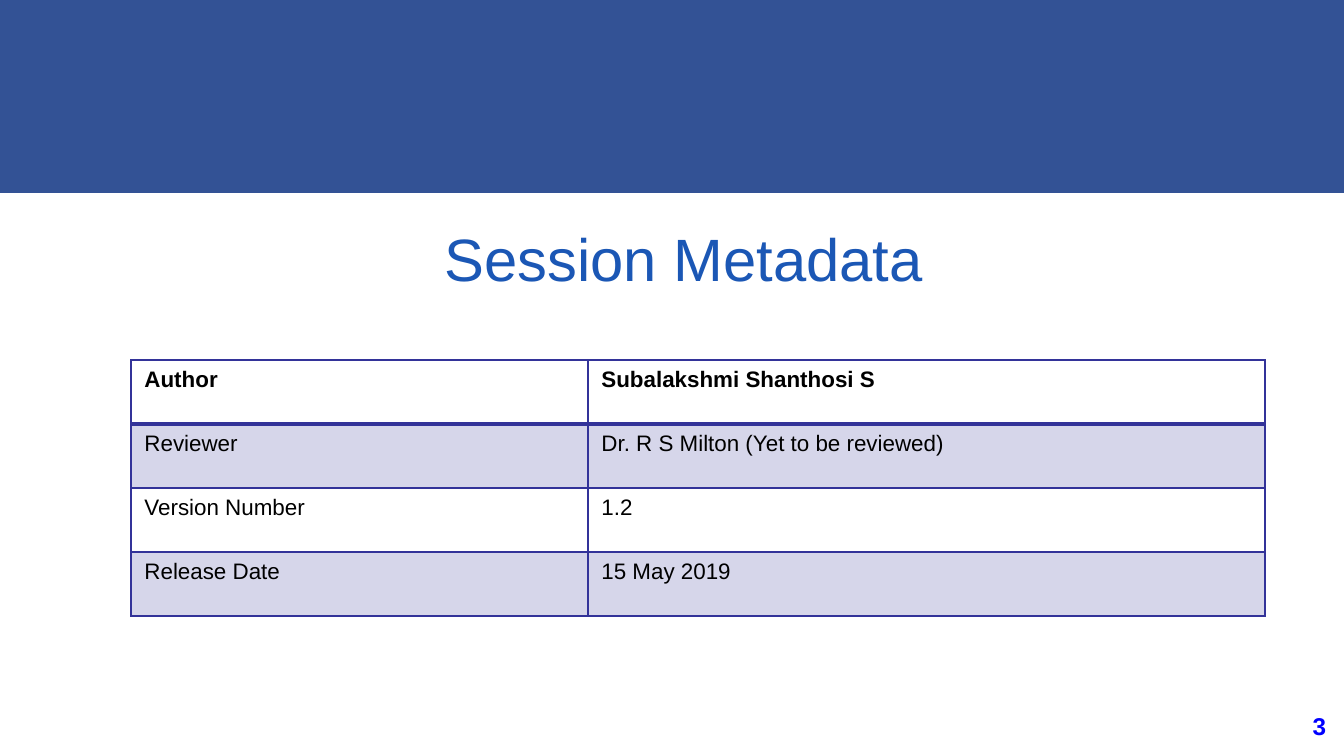
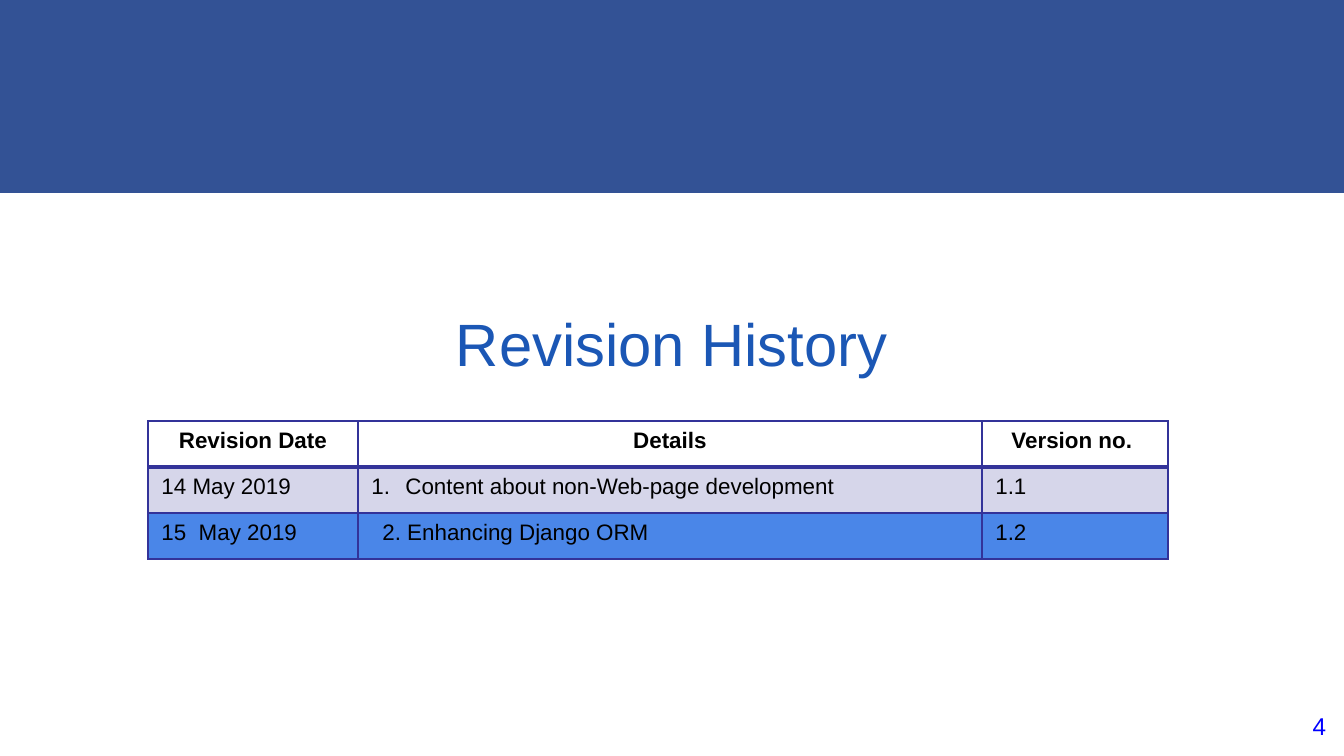
"""Build the session metadata and revision history slides."""
from dataclasses import dataclass

from lxml.etree import SubElement
from pptx import Presentation
from pptx.dml.color import RGBColor
from pptx.enum.shapes import MSO_SHAPE
from pptx.enum.text import MSO_ANCHOR, MSO_AUTO_SIZE, PP_ALIGN
from pptx.oxml.ns import qn
from pptx.util import Pt


@dataclass(frozen=True)
class Theme:
    font: str = "Arial"
    band: str = "335295"
    title: str = "1B57B5"
    number: str = "0000FF"
    text: str = "000000"
    grid: str = "333399"
    latest: str = "4A86E8"
    title_size: int = 32
    number_size: int = 13
    table_size: int = 12


T = Theme()
EMU_PER_PX = 914400 / 134.4
WIDTH, HEIGHT, BAND_HEIGHT = 1344, 756, 193


def px(*lengths):
    return [round(n * EMU_PER_PX) for n in lengths]


def write(p, text, size, color, bold=False, align=None):
    p.alignment = align
    r = p.add_run()
    r.text = text
    for name, value in {"name": T.font, "size": Pt(size), "bold": bold}.items():
        setattr(r.font, name, value)
    r.font.color.rgb = RGBColor.from_string(color)


pages = [
    {
        "number": "3", "number_bold": True,
        "title": "Session Metadata", "title_at": (79, 199),
        "table_at": (131, 360), "cols": (457, 677), "row_height": 64,
        "header_align": None,
        "rows": [
            ("Author", "Subalakshmi Shanthosi S"),
            ("Reviewer", "Dr. R S Milton (Yet to be reviewed)"),
            ("Version Number", "1.2"),
            ("Release Date", "15 May 2019"),
        ],
        "fills": [None, T.grid, None, T.grid],
        "indents": {},
    },
    {
        "number": "4", "number_bold": False,
        "title": "Revision History", "title_at": (67, 284),
        "table_at": (148, 421), "cols": (210, 624, 186), "row_height": 46,
        "header_align": PP_ALIGN.CENTER,
        "rows": [
            ("Revision Date", "Details", "Version no. "),
            ("14 May 2019", "Content about non-Web-page development", "1.1"),
            ("15  May 2019", "2. Enhancing Django ORM", "1.2"),
        ],
        "fills": [None, T.grid, T.latest],
        "indents": {(1, 1): (34, -34), (2, 1): (11, 0)},
    },
]

prs = Presentation()
prs.slide_width, prs.slide_height = px(WIDTH, HEIGHT)
layout = prs.slide_layouts.get_by_name("Title Only")
slides = [prs.slides.add_slide(layout) for page in pages]

sp = slides[0].shapes.add_shape(MSO_SHAPE.RECTANGLE, *px(0, 0, WIDTH, BAND_HEIGHT))
sp.shadow.inherit = False
sp.fill.solid()
sp.fill.fore_color.rgb = RGBColor.from_string(T.band)
sp.line.fill.background()
layout.shapes._spTree.insert(2, sp._element)

for slide, page in zip(slides, pages):
    title = slide.shapes.title
    title.left, title.top, title.width, title.height = px(*page["title_at"], 1210, 117)
    tf = title.text_frame
    title_format = {
        "word_wrap": True,
        "auto_size": MSO_AUTO_SIZE.NONE,
        "vertical_anchor": MSO_ANCHOR.MIDDLE,
    }
    for name, value in title_format.items():
        setattr(tf, name, value)
    write(tf.paragraphs[0], page["title"], T.title_size, T.title, align=PP_ALIGN.CENTER)

    tf = slide.shapes.add_textbox(*px(1258, 698, 81, 58)).text_frame
    tf.word_wrap = True
    for side in ("left", "top", "right", "bottom"):
        setattr(tf, f"margin_{side}", px(13)[0])
    write(tf.paragraphs[0], page["number"], T.number_size, T.number,
          page["number_bold"], PP_ALIGN.RIGHT)

    rows, cols = page["rows"], page["cols"]
    size = px(sum(cols), page["row_height"] * len(rows))
    table = slide.shapes.add_table(len(rows), len(cols), *px(*page["table_at"]), *size).table
    table.first_row = table.horz_banding = False
    for column, width in zip(table.columns, px(*cols)):
        column.width = width

    for i, (row, fill) in enumerate(zip(rows, page["fills"])):
        table.rows[i].height = px(page["row_height"])[0]
        for j, text in enumerate(row):
            cell = table.cell(i, j)
            p = cell.text_frame.paragraphs[0]
            write(p, text, T.table_size, T.text, i == 0,
                  page["header_align"] if i == 0 else None)

            tcPr = cell._tc.get_or_add_tcPr()
            for side in "LRTB":
                heavy = (i, side) in ((0, "B"), (1, "T"))
                ln = SubElement(tcPr, qn(f"a:ln{side}"), w=str(Pt(2 if heavy else 1)))
                SubElement(SubElement(ln, qn("a:solidFill")), qn("a:srgbClr"), val=T.grid)

            if fill:
                cell.fill.solid()
                cell.fill.fore_color.rgb = RGBColor.from_string(fill)
            else:
                cell.fill.background()
            if fill == T.grid:
                color = tcPr.find(qn("a:solidFill")).find(qn("a:srgbClr"))
                SubElement(color, qn("a:alpha"), val="20000")

            if (i, j) in page["indents"]:
                pPr = p._p.get_or_add_pPr()
                margin, hanging = px(*page["indents"][i, j])
                pPr.set("marL", str(margin))
                pPr.set("indent", str(hanging))
                if hanging:
                    SubElement(SubElement(pPr, qn("a:buClr")), qn("a:srgbClr"), val=T.text)
                    SubElement(pPr, qn("a:buFont"), typeface=T.font)
                    SubElement(pPr, qn("a:buAutoNum"), type="arabicPeriod")

prs.save("out.pptx")
